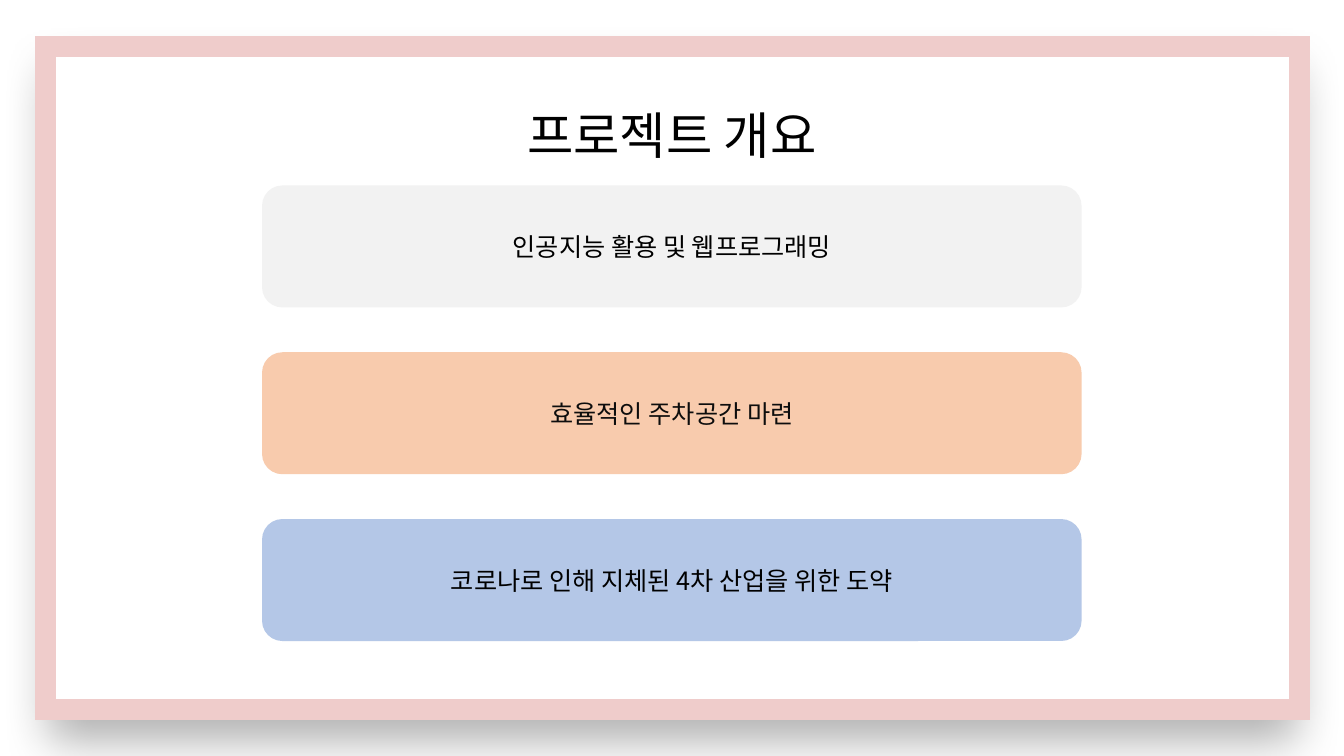
from lxml import etree
from pptx import Presentation
from pptx import util as u
from pptx.dml.color import RGBColor
from pptx.enum import shapes, text
from pptx.oxml import parse_xml
from pptx.oxml.ns import nsdecls, qn

FONT = "Noto Sans CJK KR"
FRAME = (32.4, 33.1, 895.7, 473.8)
TITLE = (227.5, 70.6, 504.7, 51.1)
CARDS = (187.2, 132.5, 585.4, 325.4)
CARD_GAP = 32
TOPICS = [
    ("인공지능 활용 및 웹프로그래밍", "F2F2F2", "000000"),
    ("효율적인 주차공간 마련", "F8CBAD", "0D0D0D"),
    ("코로나로 인해 지체된 4차 산업을 위한 도약", "B4C7E7", "000000"),
]


def rgb(color):
    """Turn a hex string into a colour."""
    return RGBColor.from_string(color)


def write(sp, words, size, color):
    """Put one centred, vertically centred line of text in a shape."""
    tf = sp.text_frame
    tf.word_wrap = True
    tf.vertical_anchor = text.MSO_ANCHOR.MIDDLE
    tf.text = words
    p = tf.paragraphs[0]
    p.alignment = text.PP_ALIGN.CENTER
    r = p.runs[0]
    r.font.size = u.Pt(size)
    r.font.name = FONT
    r.font.color.rgb = rgb(color)
    ea = etree.SubElement(r.font._element, qn("a:ea"))
    ea.set("typeface", FONT)


def add_box(s, kind, box, fill):
    """Add a filled preset shape without outline or shadow."""
    sp = s.shapes.add_shape(kind, *map(u.Pt, box))
    sp.shadow.inherit = False
    sp.fill.solid()
    sp.fill.fore_color.rgb = rgb(fill)
    sp.line.fill.background()
    return sp


def add_frame(s, box):
    """Add the pink frame with its soft shadow behind everything else."""
    sp = add_box(s, shapes.MSO_SHAPE.RECTANGLE, box, "FFFFFF")
    sp.line.color.rgb = rgb("EFCCCB")
    sp.line.width = u.Pt(14.75)
    ln = sp._element.spPr.find(qn("a:ln"))
    etree.SubElement(ln, qn("a:miter")).set("lim", "800000")
    effects = sp._element.spPr.find(qn("a:effectLst"))
    effects.append(parse_xml(
        f'<a:outerShdw {nsdecls("a")} blurRad="{u.Pt(34)}" dist="{u.Pt(19)}" '
        'dir="5400000" sx="98000" sy="98000" algn="ctr" rotWithShape="0">'
        '<a:srgbClr val="000000"><a:alpha val="31000"/></a:srgbClr>'
        '</a:outerShdw>'))
    s.shapes._spTree.insert(2, sp._element)


def add_title(s, box, words):
    """Move the title placeholder to its box and fill it."""
    sp = s.shapes.title
    sp.left, sp.top, sp.width, sp.height = map(u.Pt, box)
    write(sp, words, 36, "000000")
    sp.text_frame.auto_size = text.MSO_AUTO_SIZE.SHAPE_TO_FIT_TEXT


def add_cards(s, box, topics):
    """Stack one rounded card per topic, evenly spaced in the box."""
    left, top, width, height = box
    card_h = (height - CARD_GAP * (len(topics) - 1)) / len(topics)
    for i, (words, fill, color) in enumerate(topics):
        card = (left, top + i * (card_h + CARD_GAP), width, card_h)
        sp = add_box(s, shapes.MSO_SHAPE.ROUNDED_RECTANGLE, card, fill)
        write(sp, words, 18, color)


def build_overview(prs):
    """Build the project overview slide."""
    s = prs.slides.add_slide(prs.slide_layouts.get_by_name("Title Only"))
    add_frame(s, FRAME)
    add_title(s, TITLE, "프로젝트 개요")
    add_cards(s, CARDS, TOPICS)


prs = Presentation()
prs.slide_width, prs.slide_height = u.Pt(960), u.Pt(540)
build_overview(prs)
prs.save("out.pptx")
